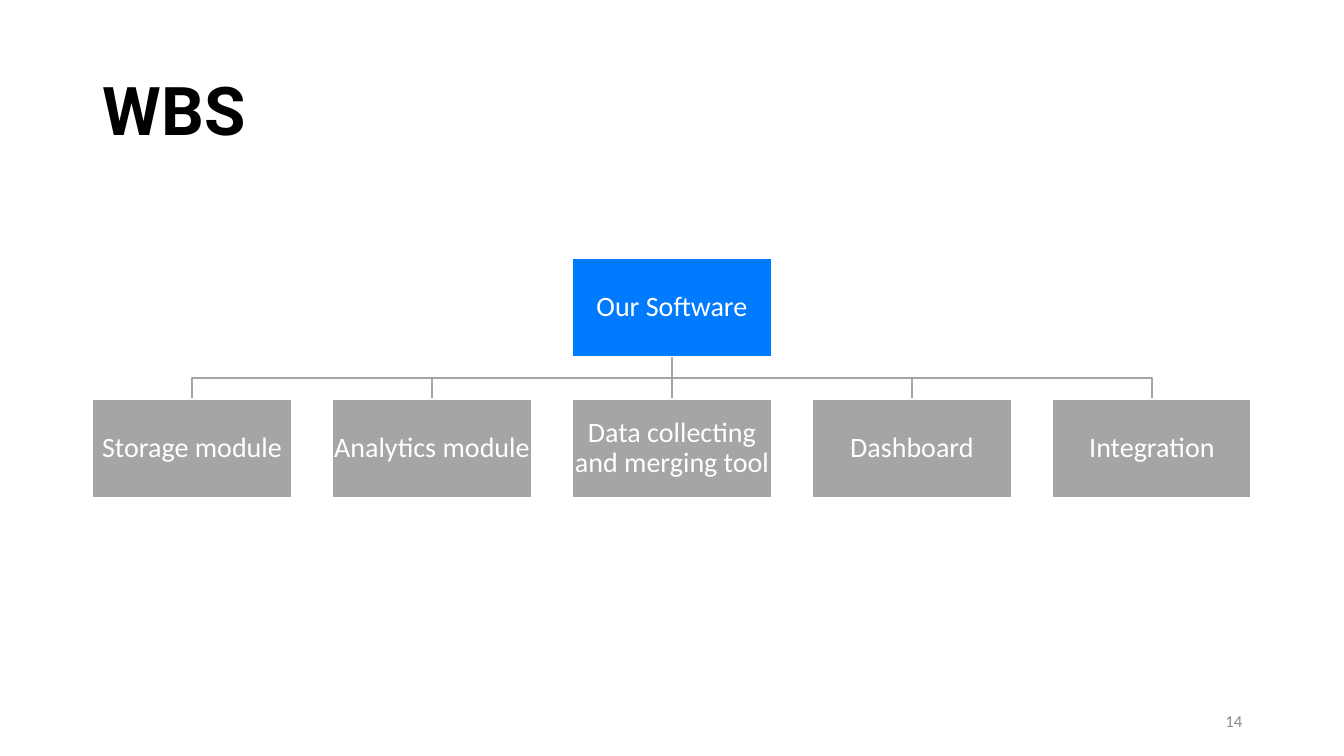
from lxml.etree import SubElement
from pptx import Presentation
from pptx.dml.color import RGBColor
from pptx.enum.shapes import MSO_CONNECTOR, MSO_SHAPE
from pptx.enum.text import MSO_ANCHOR, PP_ALIGN
from pptx.oxml.ns import qn
from pptx.util import Inches, Pt

BLUE, GREY, WHITE = "007BFF", "A5A5A5", "FFFFFF"
BOX_WIDTH, BOX_HEIGHT = 1.97, 0.98
ROOT_TOP, MODULE_TOP = 2.56, 3.96
FIRST_LEFT, MODULE_STEP = 0.92, 2.38
MODULES = ["Storage module", "Analytics module", "Data collecting and merging tool",
           "Dashboard", "Integration"]


def color(hex_string):
    return RGBColor.from_string(hex_string)


def write(shape, text, align, spacing, inset, font):
    frame = shape.text_frame
    frame.text = text
    frame.word_wrap = True
    frame.vertical_anchor = MSO_ANCHOR.MIDDLE
    for side, margin in inset.items():
        setattr(frame, f"margin_{side}", Inches(margin))
    paragraph = frame.paragraphs[0]
    paragraph.alignment = align
    paragraph.line_spacing = spacing
    run_font = paragraph.runs[0].font
    for name, value in font.items():
        if name == "color":
            run_font.color.rgb = color(value)
        else:
            setattr(run_font, name, value)


prs = Presentation()
prs.slide_width, prs.slide_height = Inches(13.33), Inches(7.5)
slide = prs.slides.add_slide(prs.slide_layouts[5])
shapes = slide.shapes

# Title
title = shapes.title
title.left, title.top, title.width, title.height = map(Inches, (0.92, 0.4, 11.5, 1.45))
write(title, "WBS", PP_ALIGN.LEFT, 0.9, {},
      {"name": "Roboto", "size": Pt(48), "bold": True, "color": "000000"})

# Boxes: the root sits above the middle module
module_lefts = [FIRST_LEFT + MODULE_STEP * i for i in range(len(MODULES))]
root_left = module_lefts[len(MODULES) // 2]

# Branches from the root to each module
root_center = Inches(root_left + BOX_WIDTH / 2)
branch_top, branch_bottom = Inches(ROOT_TOP + BOX_HEIGHT), Inches(MODULE_TOP)
branch_middle = (branch_top + branch_bottom) // 2
for left in module_lefts:
    module_center = Inches(left + BOX_WIDTH / 2)
    if left == root_left:
        branch = shapes.add_connector(MSO_CONNECTOR.STRAIGHT, root_center, branch_top,
                                      root_center, branch_bottom)
        SubElement(branch._element.spPr, qn("a:effectLst"))
    else:
        builder = shapes.build_freeform(root_center, branch_top)
        builder.add_line_segments([(root_center, branch_middle),
                                   (module_center, branch_middle),
                                   (module_center, branch_bottom)], close=False)
        branch = builder.convert_to_shape()
        branch.fill.background()
        branch.shadow.inherit = False
    branch.line.color.rgb = color(GREY)
    branch.line.width = Pt(1)

# Root and module boxes
boxes = [("Our Software", root_left, ROOT_TOP, BLUE)]
boxes += [(name, left, MODULE_TOP, GREY) for name, left in zip(MODULES, module_lefts)]
for name, left, top, fill in boxes:
    box = shapes.add_shape(MSO_SHAPE.RECTANGLE, Inches(left), Inches(top),
                           Inches(BOX_WIDTH), Inches(BOX_HEIGHT))
    box.shadow.inherit = False
    box.fill.solid()
    box.fill.fore_color.rgb = color(fill)
    box.line.color.rgb = color(WHITE)
    box.line.width = Pt(1)
    write(box, name, PP_ALIGN.CENTER, 0.9,
          dict.fromkeys(("left", "top", "right", "bottom"), 0.01),
          {"name": "Calibri", "size": Pt(20), "color": WHITE})

# Page number
page_number = shapes.add_textbox(Inches(9.42), Inches(6.95), Inches(3), Inches(0.4))
write(page_number, "14", PP_ALIGN.RIGHT, 1.0, {},
      {"name": "Calibri", "size": Pt(12), "color": "8C8C8C"})

prs.save("out.pptx")
